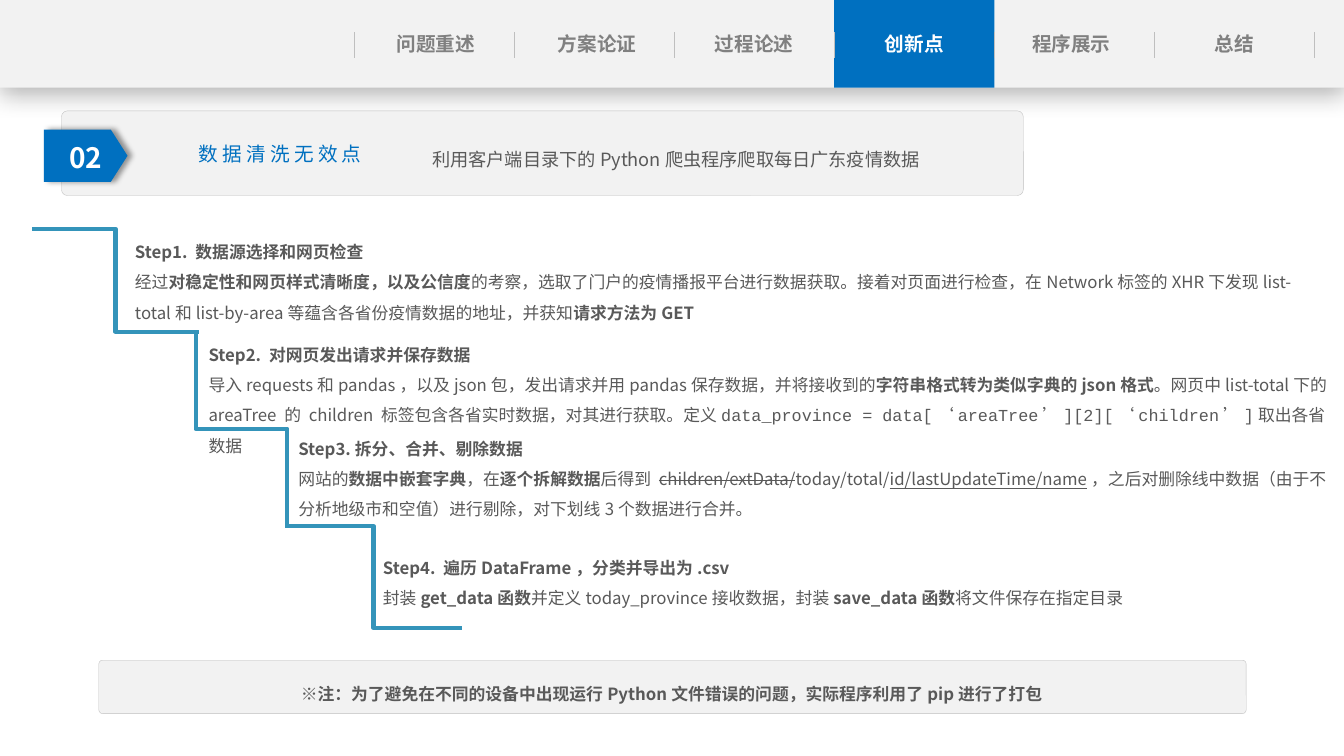
from dataclasses import dataclass

from lxml import etree
from pptx import Presentation
from pptx import util as u
from pptx.dml.color import RGBColor
from pptx.enum import shapes, text
from pptx.oxml.ns import qn


@dataclass(frozen=True)
class Theme:
    font: str = "Noto Sans CJK SC"
    code: str = "Courier New"
    panel: str = "F2F2F2"
    border: str = "BFBFBF"
    accent: str = "0070C0"
    stair: str = "3494BA"
    body: str = "595959"
    muted: str = "808080"
    white: str = "FFFFFF"
    nav_size: int = 14
    badge_size: int = 20
    intro_size: int = 13
    body_size: int = 12


T = Theme()
LEFT, CENTER = text.PP_ALIGN.LEFT, text.PP_ALIGN.CENTER
PLAIN, BOLD, STRIKE, UNDER, CODE = "plain", "bold", "strike", "under", "code"


def inches(*values):
    return [u.Inches(v) for v in values]


def add_panel(slide, kind, box, fill, line=None):
    sp = slide.shapes.add_shape(kind, *inches(*box))
    sp.shadow.inherit = False
    sp.fill.solid()
    sp.fill.fore_color.rgb = RGBColor.from_string(fill)
    if line:
        sp.line.color.rgb = RGBColor.from_string(line)
        sp.line.width = u.Pt(0.25)
    else:
        sp.line.fill.background()
    return sp


def add_rounded(slide, box):
    sp = add_panel(slide, shapes.MSO_SHAPE.ROUNDED_RECTANGLE, box, T.panel, T.border)
    sp.adjustments[0] = 0.07


def cast_shadow(sp, alpha, blur, dist, angle):
    effects = sp._element.spPr.find(qn("a:effectLst"))
    shadow = etree.SubElement(effects, qn("a:outerShdw"), blurRad=str(u.Pt(blur)),
                              dist=str(u.Pt(dist)), dir=str(angle * 60000), rotWithShape="0")
    color = etree.SubElement(shadow, qn("a:srgbClr"), val="000000")
    etree.SubElement(color, qn("a:alpha"), val=str(alpha * 1000))


def add_line(slide, kind, start, end, color, width):
    c = slide.shapes.add_connector(kind, *inches(*start, *end))
    c.line.color.rgb = RGBColor.from_string(color)
    c.line.width = u.Pt(width)
    etree.SubElement(c._element.spPr, qn("a:effectLst"))
    return c


def add_text(slide, box, paragraphs, size, color, align=LEFT, spacing=None,
             side=0.1, anchor=text.MSO_ANCHOR.TOP, tracking=None):
    """Each paragraph is a list of (wording, style) runs."""
    tf = slide.shapes.add_textbox(*inches(*box)).text_frame
    tf.word_wrap = True
    tf.vertical_anchor = anchor
    tf.margin_left = tf.margin_right = u.Inches(side)
    for i, runs in enumerate(paragraphs):
        p = tf.add_paragraph() if i else tf.paragraphs[0]
        p.alignment = align
        if spacing:
            p.line_spacing = spacing
        for wording, style in runs:
            r = p.add_run()
            r.text = wording
            r.font.size = u.Pt(size)
            r.font.bold = style == BOLD
            r.font.underline = style == UNDER
            r.font.color.rgb = RGBColor.from_string(color)
            r.font.name = T.code if style == CODE else T.font
            props = r._r.get_or_add_rPr()
            etree.SubElement(props, qn("a:ea"), typeface=T.font)
            if style == STRIKE:
                props.set("strike", "sngStrike")
            if tracking:
                props.set("spc", str(tracking * 100))


def add_navigation(slide, x, y, w, h):
    bar = add_panel(slide, shapes.MSO_SHAPE.RECTANGLE, (x, y, w, h), T.panel)
    cast_shadow(bar, 29, 18, 4, 90)
    first, pitch, active = x + 3.51, 1.588, 3
    add_panel(slide, shapes.MSO_SHAPE.RECTANGLE,
              (first + active * pitch, y, pitch, h), T.accent)
    # Labels sit slightly off the centres of their tabs
    tabs = [("问题重述", 0.02), ("方案论证", 0.03), ("过程论述", 0),
            ("创新点", 0), ("程序展示", -0.03), ("总结", 0)]
    for i, (label, shift) in enumerate(tabs):
        add_text(slide, (first + i * pitch + shift, y + 0.27, pitch, 0.34),
                 [[(label, BOLD)]], T.nav_size,
                 T.white if i == active else T.muted, CENTER, side=0)
    for i in range(len(tabs) + 1):
        left = first + i * pitch
        add_line(slide, shapes.MSO_CONNECTOR.STRAIGHT, (left, y + 0.32),
                 (left, y + 0.58), T.border, 0.5)


def add_heading(slide, x, y, w, h):
    add_rounded(slide, (x, y, w, h))
    # Number badge
    badge = add_panel(slide, shapes.MSO_SHAPE.FLOWCHART_OFFPAGE_CONNECTOR,
                      (x - 0.02, y + 0.03, 0.52, 0.83), T.accent)
    badge.rotation = 270
    cast_shadow(badge, 40, 4, 3, 0)
    # Title and introduction
    add_text(slide, (x + 0.66, y + 0.19, 3.02, 0.46), [[("数据清洗无效点", PLAIN)]],
             T.nav_size, T.accent, CENTER, anchor=text.MSO_ANCHOR.MIDDLE, tracking=3)
    add_text(slide, (x + 3.58, y + 0.21, 6.66, 0.39),
             [[("利用客户端目录下的Python爬虫程序爬取每日广东疫情数据", PLAIN)]],
             T.intro_size, T.body, spacing=1.5)
    add_text(slide, (x - 0.12, y + 0.24, 0.72, 0.44), [[("02", BOLD)]],
             T.badge_size, T.white, CENTER)


def add_staircase(slide, x, y):
    elbow = shapes.MSO_CONNECTOR.ELBOW
    add_line(slide, elbow, (x, y), (x + 1.65, y + 1.02), T.stair, 3)
    # The middle flight is flipped and turned so that it starts downwards
    middle = add_line(slide, elbow, (x + 3.04, y + 1.53), (x + 1.11, y + 2.44), T.stair, 3)
    middle._element.spPr.find(qn("a:xfrm")).set("rot", str(270 * 60000))
    add_line(slide, elbow, (x + 2.51, y + 2.95), (x + 4.26, y + 3.96), T.stair, 3)


STEPS = [
    ((1.24, 2.25, 11.88, 0.97), "Step1. 数据源选择和网页检查", [
        ("经过", PLAIN),
        ("对稳定性和网页样式清晰度，以及公信度", BOLD),
        ("的考察，选取了门户的疫情播报平台进行数据获取。接着对页面进行检查，在Network标签的XHR下发现"
         "list-total和list-by-area等蕴含各省份疫情数据的地址，并获知", PLAIN),
        ("请求方法为GET", BOLD)]),
    ((1.97, 3.27, 11.3, 0.97), "Step2. 对网页发出请求并保存数据", [
        ("导入requests和pandas，以及json包，发出请求并用pandas保存数据，并将接收到的", PLAIN),
        ("字符串格式转为类似字典的json格式", BOLD),
        ("。网页中list-total下的areaTree 的 children 标签包含各省实时数据，对其进行获取。定义", PLAIN),
        ("data_province = data[‘areaTree’][2][‘children’]取出各省数据", CODE)]),
    ((2.86, 4.2, 10.41, 0.97), "Step3.拆分、合并、剔除数据", [
        ("网站的", PLAIN), ("数据中嵌套字典", BOLD), ("，在", PLAIN),
        ("逐个拆解数据", BOLD), ("后得到 ", PLAIN),
        ("children/extData/", STRIKE), ("today/total/", PLAIN),
        ("id/lastUpdateTime/name", UNDER),
        ("，之后对删除线中数据（由于不分析地级市和空值）进行剔除，对下划线3个数据进行合并。", PLAIN)]),
    ((3.7, 5.38, 9.5, 0.67), "Step4. 遍历DataFrame，分类并导出为.csv", [
        ("封装", PLAIN), ("get_data函数", BOLD),
        ("并定义today_province接收数据，封装", PLAIN),
        ("save_data函数", BOLD), ("将文件保存在指定目录", PLAIN)]),
]


def add_note(slide, x, y, w, h):
    add_text(slide, (x - 0.49, y + 0.08, w + 0.96, 0.37),
             [[("※注：为了避免在不同的设备中出现运行Python文件错误的问题，"
                "实际程序利用了pip进行了打包", BOLD)]],
             T.body_size, T.body, CENTER, 1.5)


def main():
    prs = Presentation()
    prs.slide_width, prs.slide_height = inches(13.33, 7.5)
    slide = prs.slides.add_slide(prs.slide_layouts[6])
    note_box = (0.98, 6.55, 11.38, 0.53)
    add_navigation(slide, 0, 0, 13.33, 0.87)
    add_rounded(slide, note_box)
    add_heading(slide, 0.61, 1.1, 9.54, 0.84)
    add_staircase(slide, 0.32, 2.27)
    for box, title, runs in STEPS:
        add_text(slide, box, [[(title, BOLD)], runs], T.body_size, T.body, spacing=1.5)
    add_note(slide, *note_box)
    prs.save("out.pptx")


if __name__ == "__main__":
    main()
